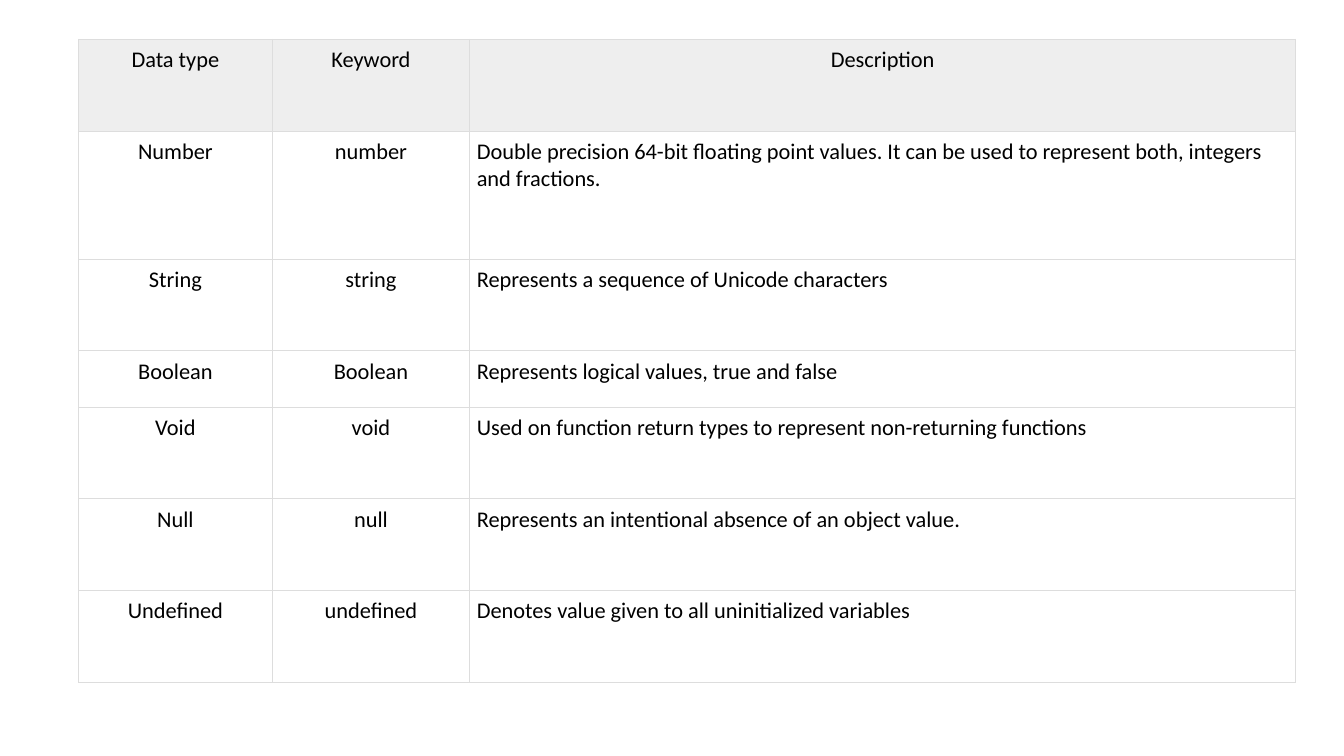
from dataclasses import dataclass

from lxml import etree
from pptx import Presentation
from pptx import util as u
from pptx.dml import color
from pptx.enum import text
from pptx.oxml import ns
from pptx.table import _Cell


@dataclass(frozen=True)
class Theme:
    font: str = "Calibri"
    size: u.Length = u.Pt(16)
    ink: str = "000000"
    header_fill: str = "EEEEEE"
    border: str = "DDDDDD"
    border_width: u.Length = u.Pt(0.75)
    inset: u.Length = u.Inches(0.07)


@dataclass(frozen=True)
class TypeRow:
    data_type: str
    keyword: str
    description: str
    height: float = 0.91


THEME = Theme()
COLUMN_WIDTHS = (1.92, 1.96, 8.19)
HEADER = TypeRow("Data type", "Keyword", "Description")
DATA_TYPES = (
    TypeRow("Number", "number",
            "Double precision 64-bit floating point values. It can be used to "
            "represent both, integers and fractions.", 1.27),
    TypeRow("String", "string", "Represents a sequence of Unicode characters"),
    TypeRow("Boolean", "Boolean", "Represents logical values, true and false", 0.56),
    TypeRow("Void", "void",
            "Used on function return types to represent non-returning functions"),
    TypeRow("Null", "null", "Represents an intentional absence of an object value."),
    TypeRow("Undefined", "undefined",
            "Denotes value given to all uninitialized variables"),
)


def add_borders(cell: _Cell) -> None:
    properties = cell._tc.get_or_add_tcPr()
    for side in ("a:lnL", "a:lnR", "a:lnT", "a:lnB"):
        line = etree.SubElement(properties, ns.qn(side), w=str(int(THEME.border_width)))
        fill = etree.SubElement(line, ns.qn("a:solidFill"))
        etree.SubElement(fill, ns.qn("a:srgbClr"), val=THEME.border)


def fill_cell(cell: _Cell, wording: str, centred: bool, is_header: bool) -> None:
    add_borders(cell)
    if is_header:
        cell.fill.solid()
        cell.fill.fore_color.rgb = color.RGBColor.from_string(THEME.header_fill)
    else:
        cell.fill.background()
    cell.margin_left = cell.margin_right = THEME.inset
    cell.margin_top = cell.margin_bottom = THEME.inset
    cell.vertical_anchor = text.MSO_ANCHOR.TOP

    paragraph = cell.text_frame.paragraphs[0]
    paragraph.alignment = text.PP_ALIGN.CENTER if centred else text.PP_ALIGN.LEFT
    run = paragraph.add_run()
    run.text = wording
    run.font.name = THEME.font
    run.font.size = THEME.size
    run.font.bold = False
    run.font.color.rgb = color.RGBColor.from_string(THEME.ink)


# Slide
deck = Presentation()
deck.slide_width, deck.slide_height = u.Inches(13.33), u.Inches(7.5)
slide = deck.slides.add_slide(deck.slide_layouts[6])

# Table grid
rows = (HEADER, *DATA_TYPES)
type_table = slide.shapes.add_table(
    len(rows), len(COLUMN_WIDTHS), u.Inches(0.78), u.Inches(0.39),
    u.Inches(sum(COLUMN_WIDTHS)), u.Inches(sum(row.height for row in rows)),
).table
type_table.horz_banding = False
for column, width in zip(type_table.columns, COLUMN_WIDTHS):
    column.width = u.Inches(width)

# Header and data types: only the descriptions below the header align left
for row_index, row in enumerate(rows):
    type_table.rows[row_index].height = u.Inches(row.height)
    is_header = row is HEADER
    for column_index, wording in enumerate((row.data_type, row.keyword, row.description)):
        fill_cell(type_table.cell(row_index, column_index), wording,
                  is_header or column_index < 2, is_header)

deck.save("out.pptx")
